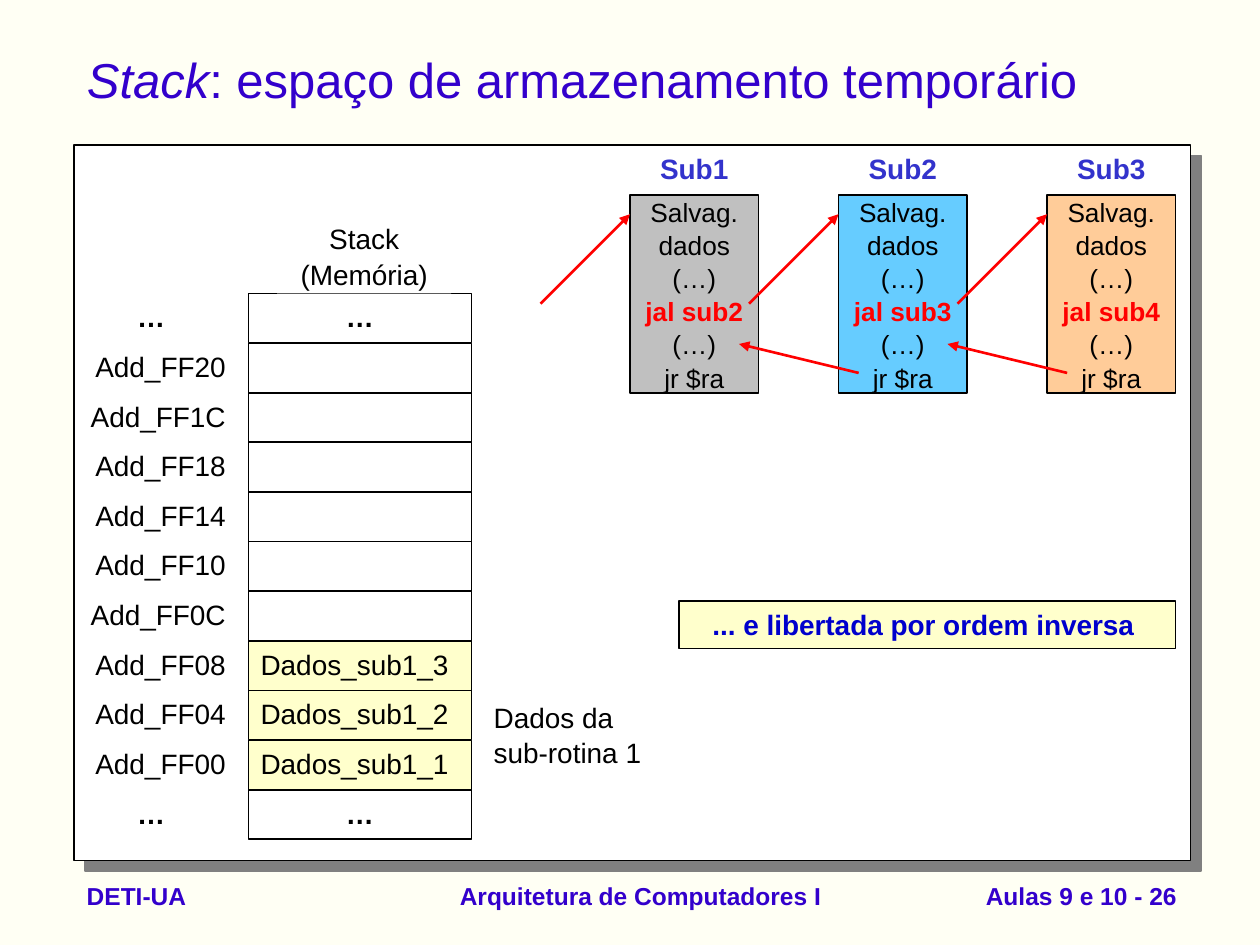
from dataclasses import dataclass
from typing import NamedTuple, Optional

from lxml import etree
from pptx import Presentation
from pptx.dml.color import RGBColor
from pptx.enum.shapes import MSO_CONNECTOR, MSO_SHAPE
from pptx.enum.text import MSO_ANCHOR, PP_ALIGN
from pptx.oxml.ns import qn
from pptx.util import Inches, Pt

LEFT, CENTER, RIGHT = PP_ALIGN.LEFT, PP_ALIGN.CENTER, PP_ALIGN.RIGHT
TOP, MIDDLE = MSO_ANCHOR.TOP, MSO_ANCHOR.MIDDLE
RECTANGLE, STRAIGHT = MSO_SHAPE.RECTANGLE, MSO_CONNECTOR.STRAIGHT


@dataclass(frozen=True)
class Theme:
    font: str = "Arial"
    background: str = "FFFFF4"
    white: str = "FFFFFF"
    black: str = "000000"
    title: str = "3300CC"
    heading: str = "3333CC"
    note: str = "0000CC"
    highlight: str = "FFFFCC"
    call: str = "FF0000"
    shadow: str = "808080"
    title_size: float = 28
    text_size: float = 16
    code_size: float = 15
    footer_size: float = 14


THEME = Theme()


class Box(NamedTuple):
    left: float
    top: float
    width: float
    height: float

    def lengths(self) -> list:
        return [Inches(value) for value in self]


class Style(NamedTuple):
    size: float = THEME.text_size
    color: str = THEME.black
    bold: bool = False
    align: int = LEFT
    anchor: int = TOP
    wrap: bool = True
    spacing: float = 1.0


class Subroutine(NamedTuple):
    name: str
    call: str
    fill: str


class StackRow(NamedTuple):
    address: str
    content: str = ""


SUBROUTINES = [
    Subroutine("Sub1", "jal sub2", "C0C0C0"),
    Subroutine("Sub2", "jal sub3", "66CCFF"),
    Subroutine("Sub3", "jal sub4", "FFCC99"),
]
ADDRESSES = ["20", "1C", "18", "14", "10", "0C"]
STACK_ROWS = [
    StackRow("…", "…"),
    *(StackRow(f"Add_FF{address}") for address in ADDRESSES),
    StackRow("Add_FF08", "Dados_sub1_3"),
    StackRow("Add_FF04", "Dados_sub1_2"),
    StackRow("Add_FF00", "Dados_sub1_1"),
    StackRow("…", "…"),
]
STACK_TOP, ROW_PITCH, ROW_HEIGHT = 2.33, 0.394, 0.39
SUB_LEFT, SUB_PITCH, SUB_WIDTH, SUB_TOP = 5.0, 1.655, 1.02, 1.55

CELL = Style()
ELLIPSIS = Style(bold=True, align=CENTER)
CODE = Style(size=THEME.code_size, align=CENTER, anchor=MIDDLE, wrap=False, spacing=1.05)
CALL = CODE._replace(color=THEME.call, bold=True)
FOOTER = Style(THEME.footer_size, THEME.title, True, anchor=MIDDLE)


def set_attributes(target, values: dict) -> None:
    for name, value in values.items():
        setattr(target, name, value)


def format_font(font, style: Style, italic: bool = False) -> None:
    set_attributes(font, {"name": THEME.font, "size": Pt(style.size),
                          "bold": style.bold, "italic": italic})
    font.color.rgb = RGBColor.from_string(style.color)


def write_lines(frame, lines: list[tuple[str, Style]]) -> None:
    """Write one paragraph per line; the first line's style sets up the frame."""
    first = lines[0][1]
    set_attributes(frame, {"word_wrap": first.wrap, "vertical_anchor": first.anchor})
    for index, (text, style) in enumerate(lines):
        paragraph = frame.add_paragraph() if index else frame.paragraphs[0]
        set_attributes(paragraph, {"alignment": style.align, "line_spacing": style.spacing})
        run = paragraph.add_run()
        run.text = text
        format_font(run.font, style)


def add_text(slide, box: Box, text: str, style: Style) -> None:
    shape = slide.shapes.add_textbox(*box.lengths())
    write_lines(shape.text_frame, [(text, style)])


def add_block(slide, box: Box, fill: str, line_width: Optional[float] = None,
              lines: Optional[list[tuple[str, Style]]] = None):
    shape = slide.shapes.add_shape(RECTANGLE, *box.lengths())
    shape.shadow.inherit = False
    shape.fill.solid()
    shape.fill.fore_color.rgb = RGBColor.from_string(fill)
    if line_width is None:
        shape.line.fill.background()
    else:
        shape.line.color.rgb = RGBColor.from_string(THEME.black)
        shape.line.width = Pt(line_width)
    if lines:
        write_lines(shape.text_frame, lines)
    return shape


def add_arrow(slide, start: tuple[float, float], end: tuple[float, float]) -> None:
    points = [Inches(value) for value in (*start, *end)]
    arrow = slide.shapes.add_connector(STRAIGHT, *points)
    arrow.line.color.rgb = RGBColor.from_string(THEME.call)
    arrow.line.width = Pt(1.5)
    properties = arrow.line._get_or_add_ln()
    etree.SubElement(properties, qn("a:tailEnd"), type="triangle")
    etree.SubElement(arrow._element.spPr, qn("a:effectLst"))


def add_panel(slide) -> None:
    """Draw the white content panel with its hard grey shadow."""
    panel = add_block(slide, Box(0.59, 1.15, 8.86, 5.68), THEME.white, 1)
    effects = panel._element.spPr.find(qn("a:effectLst"))
    shadow = etree.SubElement(effects, qn("a:outerShdw"), dist=str(Pt(8.5)),
                              dir="2700000", algn="ctr", rotWithShape="0")
    etree.SubElement(shadow, qn("a:srgbClr"), val=THEME.shadow)


def add_title(slide) -> None:
    title = slide.shapes.title
    names = ("left", "top", "width", "height")
    set_attributes(title, dict(zip(names, Box(0.59, 0.28, 8.86, 0.7).lengths())))
    style = Style(THEME.title_size, THEME.title, anchor=MIDDLE)
    write_lines(title.text_frame, [("Stack", style)])
    paragraph = title.text_frame.paragraphs[0]
    format_font(paragraph.runs[0].font, style, italic=True)
    run = paragraph.add_run()
    run.text = ": espaço de armazenamento temporário"
    format_font(run.font, style)


def add_stack(slide) -> None:
    for index, row in enumerate(STACK_ROWS):
        top = STACK_TOP + index * ROW_PITCH
        is_ellipsis = row.address == "…"
        address_style = ELLIPSIS if is_ellipsis else CELL._replace(align=RIGHT)
        add_text(slide, Box(0.51, top, 1.38, ROW_HEIGHT), row.address, address_style)
        fill = THEME.highlight if row.content and not is_ellipsis else THEME.white
        lines = [(row.content, ELLIPSIS if is_ellipsis else CELL)] if row.content else None
        add_block(slide, Box(1.97, top, 1.77, ROW_HEIGHT), fill, 0.75, lines)
    heading = Style(align=CENTER, spacing=1.05)
    add_block(slide, Box(2.2, 1.7, 1.38, 0.63), THEME.white,
              lines=[("Stack", heading), ("(Memória)", heading)])
    label = Style(spacing=1.05)
    add_block(slide, Box(3.82, 5.5, 1.5, 0.77), THEME.white,
              lines=[("Dados da", label), ("sub-rotina 1", label)])


def add_subroutines(slide) -> None:
    lefts = [SUB_LEFT + index * SUB_PITCH for index in range(len(SUBROUTINES))]
    for left, subroutine in zip(lefts, SUBROUTINES):
        code = ["Salvag.", "dados", "(…)", subroutine.call, "(…)", "jr $ra"]
        lines = [(text, CALL if text == subroutine.call else CODE) for text in code]
        add_block(slide, Box(left, SUB_TOP, SUB_WIDTH, 1.57), subroutine.fill, 1, lines)
        add_text(slide, Box(left, 1.15, SUB_WIDTH, 0.37), subroutine.name,
                 Style(color=THEME.heading, bold=True, align=CENTER))
    for index, left in enumerate(lefts):
        add_arrow(slide, (left - 0.71, 2.41), (left, 1.7))
        if index:
            add_arrow(slide, (left + 0.16, 2.96), (left - 0.79, 2.73))


def add_footer(slide) -> None:
    add_text(slide, Box(0.59, 6.85, 2.36, 0.52), "DETI-UA", FOOTER)
    add_text(slide, Box(3.5, 6.85, 3.17, 0.52), "Arquitetura de Computadores I",
             FOOTER._replace(align=CENTER))
    add_text(slide, Box(7.11, 6.85, 2.33, 0.52), "Aulas 9 e 10 - 26",
             FOOTER._replace(align=RIGHT))


def main() -> None:
    presentation = Presentation()
    set_attributes(presentation, {"slide_width": Inches(10), "slide_height": Inches(7.5)})
    slide = presentation.slides.add_slide(presentation.slide_layouts.get_by_name("Title Only"))
    slide.background.fill.solid()
    slide.background.fill.fore_color.rgb = RGBColor.from_string(THEME.background)
    add_panel(slide)
    add_title(slide)
    add_stack(slide)
    add_subroutines(slide)
    note = Style(color=THEME.note, bold=True, align=CENTER)
    add_block(slide, Box(5.39, 4.77, 3.94, 0.38), THEME.highlight, 0.75,
              [("... e libertada por ordem inversa ", note)])
    add_footer(slide)
    presentation.save("out.pptx")


if __name__ == "__main__":
    main()
